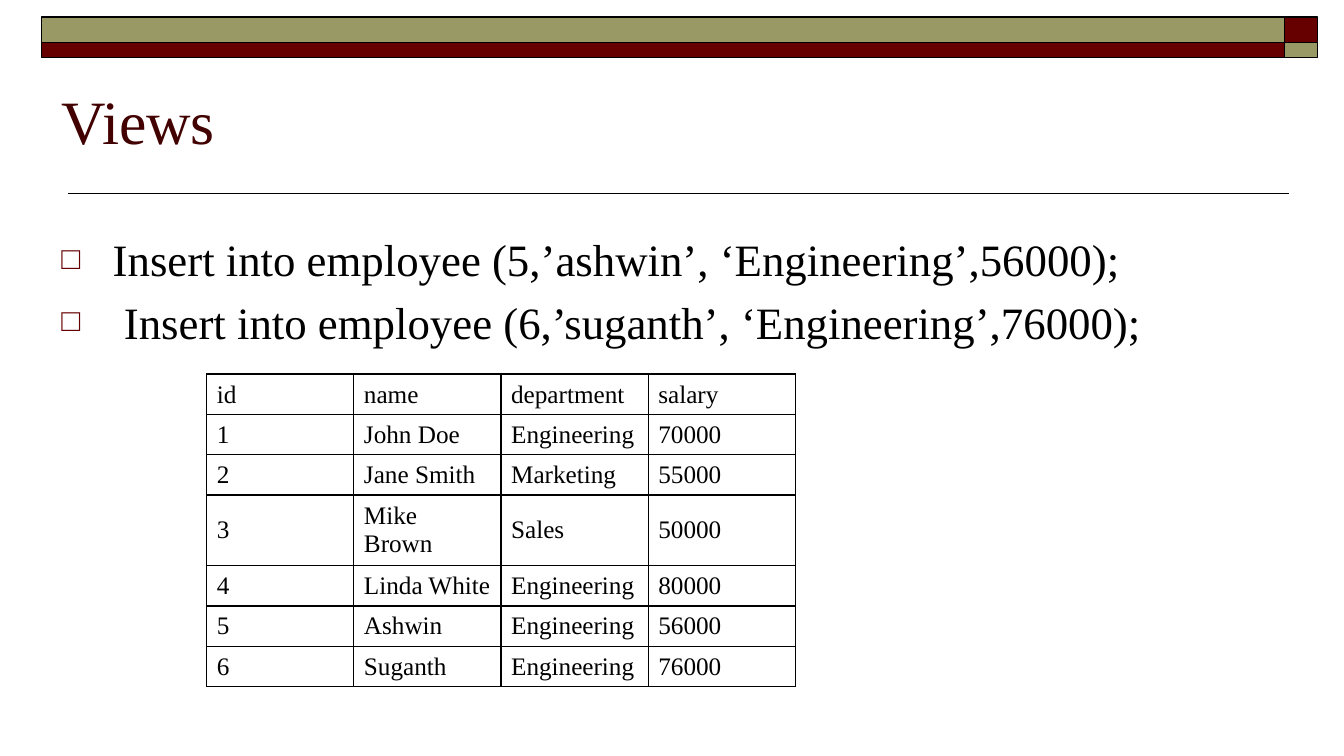
from dataclasses import dataclass

from lxml import etree
from pptx import Presentation
from pptx.dml.color import RGBColor
from pptx.enum.shapes import MSO_CONNECTOR as CONN, MSO_SHAPE as SHAPE
from pptx.enum.text import MSO_ANCHOR as ANCHOR
from pptx.oxml.ns import qn
from pptx.util import Emu, Pt

PX = 9144  # 100 px to the inch
FONT = "Times New Roman"
COLORS = {"olive": "999966", "maroon": "660000", "title": "420000", "ink": "000000"}


@dataclass(frozen=True)
class Box:
    left: int
    top: int
    width: int
    height: int

    def emu(self) -> list[Emu]:
        return [px(v) for v in (self.left, self.top, self.width, self.height)]


@dataclass(frozen=True)
class Band:
    box: Box
    color: str


BANDS = [
    Band(Box(1274, 17, 33, 25), "maroon"),
    Band(Box(41, 17, 1233, 25), "olive"),
    Band(Box(41, 42, 1233, 15), "maroon"),
    Band(Box(1274, 42, 33, 15), "olive"),
]
TITLE_BOX = Box(51, 35, 1200, 125)
BODY_BOX = Box(51, 225, 1200, 457)
TABLE_BOX = Box(205, 371, 584, 287)
BULLET_INDENT = 51
ROW_HEIGHTS = [37, 37, 37, 65, 37, 37, 37]

STATEMENTS = [
    "Insert into employee (5,’ashwin’, ‘Engineering’,56000);",
    " Insert into employee (6,’suganth’, ‘Engineering’,76000);",
]
EMPLOYEES = [
    ("id", "name", "department", "salary"),
    ("1", "John Doe", "Engineering", "70000"),
    ("2", "Jane Smith", "Marketing", "55000"),
    ("3", "Mike Brown", "Sales", "50000"),
    ("4", "Linda White", "Engineering", "80000"),
    ("5", "Ashwin", "Engineering", "56000"),
    ("6", "Suganth", "Engineering", "76000"),
]


def px(value: int) -> Emu:
    return Emu(value * PX)


def rgb(name: str) -> RGBColor:
    return RGBColor.from_string(COLORS[name])


def set_attrs(target, values: dict) -> None:
    for name, value in values.items():
        setattr(target, name, value)


def add_run(p, text: str, size: int, color: str = "ink") -> None:
    r = p.add_run()
    r.text = text
    set_attrs(r.font, {"name": FONT, "size": Pt(size)})
    r.font.color.rgb = rgb(color)


def style_line(line) -> None:
    line.color.rgb = rgb("ink")
    line.width = Pt(1)


def add_band(slide, band: Band) -> None:
    s = slide.shapes.add_shape(SHAPE.RECTANGLE, *band.box.emu())
    s.shadow.inherit = False
    s.fill.solid()
    s.fill.fore_color.rgb = rgb(band.color)
    style_line(s.line)


def add_rule(slide) -> None:
    s = slide.shapes.add_connector(CONN.STRAIGHT, px(1278), px(192), px(67), px(192))
    style_line(s.line)
    etree.SubElement(s._element.spPr, qn("a:effectLst"))


def add_text_frame(slide, box: Box, anchor: ANCHOR):
    tf = slide.shapes.add_textbox(*box.emu()).text_frame
    set_attrs(tf, {"word_wrap": True, "vertical_anchor": anchor})
    return tf


def add_bullet(p) -> None:
    """Give the paragraph a hanging square bullet and 20% space before."""
    pPr = p._p.get_or_add_pPr()
    pPr.set("marL", str(px(BULLET_INDENT)))
    pPr.set("indent", str(-px(BULLET_INDENT)))
    before = etree.SubElement(pPr, qn("a:spcBef"))
    etree.SubElement(before, qn("a:spcPct"), val="20000")
    color = etree.SubElement(pPr, qn("a:buClr"))
    etree.SubElement(color, qn("a:srgbClr"), val=COLORS["maroon"])
    etree.SubElement(pPr, qn("a:buSzPct"), val="70000")
    etree.SubElement(pPr, qn("a:buFont"), typeface=FONT)
    etree.SubElement(pPr, qn("a:buChar"), char="□")


def add_borders(cell) -> None:
    tcPr = cell._tc.get_or_add_tcPr()
    for side in ("lnL", "lnR", "lnT", "lnB"):
        ln = etree.SubElement(tcPr, qn(f"a:{side}"), w=str(Pt(1)))
        fill = etree.SubElement(ln, qn("a:solidFill"))
        etree.SubElement(fill, qn("a:srgbClr"), val=COLORS["ink"])


def add_employee_table(slide) -> None:
    rows, cols = len(EMPLOYEES), len(EMPLOYEES[0])
    table = slide.shapes.add_table(rows, cols, *TABLE_BOX.emu()).table
    set_attrs(table, {"first_row": False, "horz_banding": False})
    for col in table.columns:
        col.width = px(TABLE_BOX.width // cols)
    for i, (employee, height) in enumerate(zip(EMPLOYEES, ROW_HEIGHTS)):
        table.rows[i].height = px(height)
        for j, text in enumerate(employee):
            cell = table.cell(i, j)
            cell.vertical_anchor = ANCHOR.MIDDLE if i else ANCHOR.BOTTOM
            add_run(cell.text_frame.paragraphs[0], text, 18)
            add_borders(cell)
            cell.fill.background()


def main() -> None:
    prs = Presentation()
    set_attrs(prs, {"slide_width": px(1333), "slide_height": px(750)})
    slide = prs.slides.add_slide(prs.slide_layouts[6])

    add_rule(slide)
    for band in BANDS:
        add_band(slide, band)

    title = add_text_frame(slide, TITLE_BOX, ANCHOR.BOTTOM)
    add_run(title.paragraphs[0], "Views", 44, "title")

    body = add_text_frame(slide, BODY_BOX, ANCHOR.TOP)
    for i, statement in enumerate(STATEMENTS):
        p = body.add_paragraph() if i else body.paragraphs[0]
        add_bullet(p)
        add_run(p, statement, 32)

    add_employee_table(slide)
    prs.save("out.pptx")


if __name__ == "__main__":
    main()
